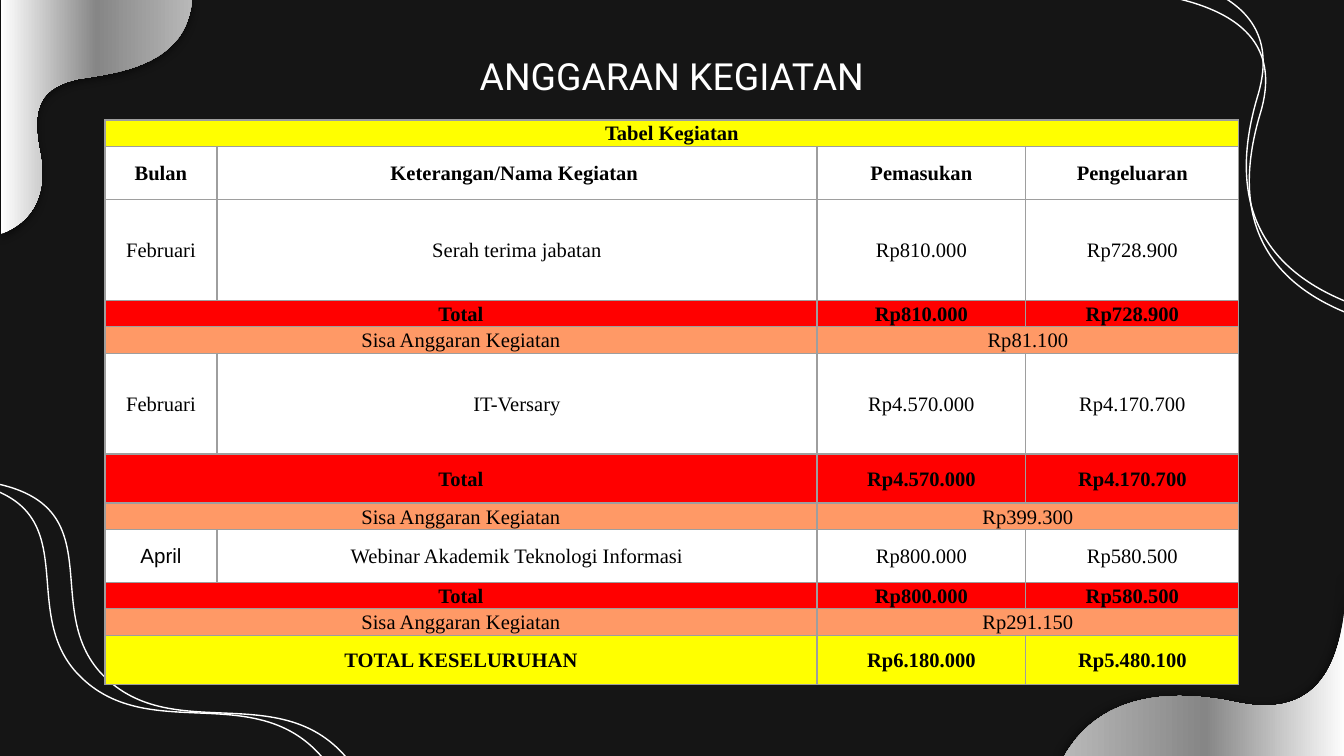
import lxml.etree
import pptx
import pptx.dml.color
import pptx.enum.text
import pptx.oxml.ns
import pptx.util

RGB = pptx.dml.color.RGBColor
WHITE = RGB(0xFF, 0xFF, 0xFF)
BLACK = RGB(0x00, 0x00, 0x00)
YELLOW = RGB(0xFF, 0xFF, 0x00)
RED = RGB(0xFF, 0x00, 0x00)
ORANGE = RGB(0xFF, 0x99, 0x66)
GRID = RGB(0x9E, 0x9E, 0x9E)
SILVER = [(0, WHITE), (50, RGB(0x86, 0x86, 0x86)), (100, RGB(0xB8, 0xB8, 0xB8))]
NIGHT = [(0, RGB(0x2A, 0x2A, 0x2A)), (37, RGB(0x15, 0x15, 0x15)), (100, RGB(0x15, 0x15, 0x15))]

EMU_PER_PX = 914400 / 134.4
TEXT_SIZE = 11

# Outlines: start point, then cubic curves (6 numbers) and straight lines (2 numbers).
WAVE = [(355, 282), (287, 188, 172, 267, 101, 187), (45, 122, 112, 25, 0, 0), (0, 282)]
SWIRL = [(305, 336), (213, 299, 186, 228, 216, 129), (246, 27, 141, 0, 0, 0), (306, 0), (306, 280)]
HILL = [(0, 184), (31, 129, 92, 112, 174, 130), (260, 147, 281, 86, 283, 0), (283, 185), (47, 185)]
DRAPE = [(0, 235), (35, 221, 46, 192, 39, 154), (29, 106, 41, 88, 77, 80),
         (115, 74, 186, 67, 191, 0), (0, 0)]

COLUMNS = [112, 600, 209, 213]
# Kind of row: fill, bold, columns spanned by each entry.
ROW_KINDS = {
    "title": (YELLOW, True, [4]),
    "header": (WHITE, True, [1, 1, 1, 1]),
    "activity": (WHITE, False, [1, 1, 1, 1]),
    "total": (RED, True, [2, 1, 1]),
    "rest": (ORANGE, False, [2, 2]),
    "grand": (YELLOW, True, [2, 1, 1]),
}
ROWS = [
    (26, "title", ["Tabel Kegiatan"]),
    (53, "header", ["Bulan", "Keterangan/Nama Kegiatan ", "Pemasukan", "Pengeluaran"]),
    (101, "activity", ["Februari", "Serah terima jabatan", "Rp810.000", "Rp728.900"]),
    (26, "total", ["Total", "Rp810.000", "Rp728.900"]),
    (26, "rest", ["Sisa Anggaran Kegiatan", "Rp81.100"]),
    (101, "activity", ["Februari", "IT-Versary", "Rp4.570.000", "Rp4.170.700"]),
    (49, "total", ["Total", "Rp4.570.000", "Rp4.170.700"]),
    (26, "rest", ["Sisa Anggaran Kegiatan", "Rp399.300"]),
    (53, "activity", ["April", "Webinar Akademik Teknologi Informasi", "Rp800.000", "Rp580.500"]),
    (26, "total", ["Total", "Rp800.000", "Rp580.500"]),
    (26, "rest", ["Sisa Anggaran Kegiatan", "Rp291.150"]),
    (49, "grand", ["TOTAL KESELURUHAN", "Rp6.180.000", "Rp5.480.100"]),
]


def px(length):
    return pptx.util.Emu(round(length * EMU_PER_PX))


def add_node(parent, tag, **attributes):
    names = {name: str(value) for name, value in attributes.items()}
    return lxml.etree.SubElement(parent, pptx.oxml.ns.qn(tag), names)


def set_gradient(fill, owner, stops, angle=None):
    """Give fill the stops, running at angle or, without one, out from the centre."""
    fill.gradient()
    gradient = owner.find(".//" + pptx.oxml.ns.qn("a:gradFill"))
    for child in list(gradient):
        gradient.remove(child)
    stop_list = add_node(gradient, "a:gsLst")
    for position, color in stops:
        stop = add_node(stop_list, "a:gs", pos=position * 1000)
        add_node(stop, "a:srgbClr", val=color)
    if angle is None:
        circle = add_node(gradient, "a:path", path="circle")
        add_node(circle, "a:fillToRect", l=50000, t=50000, r=50000, b=50000)
    else:
        add_node(gradient, "a:lin", ang=angle * 60000, scaled=0)


def add_outline(page, box, outline):
    """Draw a closed outline stretched to box."""
    left, top, width, height = box
    across = width / max(part[-2] for part in outline)
    down = height / max(part[-1] for part in outline)
    corners = [(px(left + part[-2] * across), px(top + part[-1] * down)) for part in outline]
    builder = page.shapes.build_freeform(*corners[0])
    builder.add_line_segments(corners[1:], close=True)
    shape = builder.convert_to_shape()
    shape.shadow.inherit = False
    segments = shape.element.spPr.findall(".//" + pptx.oxml.ns.qn("a:lnTo"))
    for segment, part in zip(segments, outline[1:]):
        if len(part) == 6:
            segment.tag = pptx.oxml.ns.qn("a:cubicBezTo")
            segment.remove(segment[0])
            for x, y in zip(part[::2], part[1::2]):
                add_node(segment, "a:pt", x=px(x * across), y=px(y * down))
    return shape


def add_line_art(page, box, outline):
    shape = add_outline(page, box, outline)
    shape.fill.background()
    shape.line.color.rgb = WHITE
    shape.line.width = pptx.util.Pt(0.75)


def add_silver_blob(page, box, outline, angle, shadow):
    """Draw a silver shape; shadow is its opacity in %, distance in pt and direction."""
    shape = add_outline(page, box, outline)
    shape.line.fill.background()
    properties = shape.element.spPr
    set_gradient(shape.fill, properties, SILVER, angle)
    opacity, distance, direction = shadow
    effects = properties.find(pptx.oxml.ns.qn("a:effectLst"))
    outer = add_node(effects, "a:outerShdw", blurRad=pptx.util.Pt(4.5), dist=pptx.util.Pt(distance),
                     dir=direction * 60000, algn="bl", rotWithShape=0)
    add_node(add_node(outer, "a:srgbClr", val=BLACK), "a:alpha", val=opacity * 1000)


def add_span(para, text, size, font, color, bold=False):
    para.alignment = pptx.enum.text.PP_ALIGN.CENTER
    span = para.add_run()
    span.text = text
    span.font.size = pptx.util.Pt(size)
    span.font.name = font
    span.font.color.rgb = color
    span.font.bold = bold


def add_title(page, box, text):
    frame = page.shapes.add_textbox(*map(px, box)).text_frame
    frame.word_wrap = True
    frame.margin_left = frame.margin_right = frame.margin_top = frame.margin_bottom = px(13)
    add_span(frame.paragraphs[0], text, 20, "Roboto", WHITE)


def style_cell(cell, fill):
    cell.margin_left = cell.margin_right = px(9)
    cell.margin_top = cell.margin_bottom = 0
    cell.vertical_anchor = pptx.enum.text.MSO_ANCHOR.MIDDLE
    properties = cell._tc.get_or_add_tcPr()
    for side in ("a:lnL", "a:lnR", "a:lnT", "a:lnB"):
        border = add_node(properties, side, w=pptx.util.Pt(0.75))
        add_node(add_node(border, "a:solidFill"), "a:srgbClr", val=GRID)
    cell.fill.solid()
    cell.fill.fore_color.rgb = fill
    para = cell.text_frame.paragraphs[0]
    para.line_spacing = 1.07
    add_node(para._p, "a:endParaRPr", sz=TEXT_SIZE * 100)


def add_budget_table(page, box):
    table = page.shapes.add_table(len(ROWS), len(COLUMNS), *map(px, box)).table
    table.first_row = table.horz_banding = False
    for column, width in zip(table.columns, COLUMNS):
        column.width = px(width)
    for index, (height, kind, texts) in enumerate(ROWS):
        fill, bold, widths = ROW_KINDS[kind]
        table.rows[index].height = px(height)
        for cell in table.rows[index].cells:
            style_cell(cell, fill)
        start = 0
        for text, width in zip(texts, widths):
            cell = table.cell(index, start)
            if width > 1:
                cell.merge(table.cell(index, start + width - 1))
            font = "Arial" if text == "April" else "Times New Roman"
            add_span(cell.text_frame.paragraphs[0], text, TEXT_SIZE, font, BLACK, bold)
            start += width


def add_backdrop(page):
    set_gradient(page.background.fill, page.element, NIGHT)
    for left in (-26, -2):
        add_line_art(page, (left, 484, 355, 282), WAVE)
    for box in ((1042, -34, 306, 336), (1051, -13, 297, 326)):
        add_line_art(page, box, SWIRL)
    add_silver_blob(page, (1064, 573, 283, 185), HILL, 180, (42, 2.2, 195))
    add_silver_blob(page, (1, -1, 191, 235), DRAPE, 0, (50, 1.5, 90))


def main():
    deck = pptx.Presentation()
    deck.slide_width, deck.slide_height = px(1344), px(756)
    page = deck.slides.add_slide(deck.slide_layouts[6])
    add_backdrop(page)
    add_title(page, (105, 40, 1134, 85), "ANGGARAN KEGIATAN")
    add_budget_table(page, (105, 120, sum(COLUMNS), sum(row[0] for row in ROWS)))
    deck.save("out.pptx")


if __name__ == "__main__":
    main()
